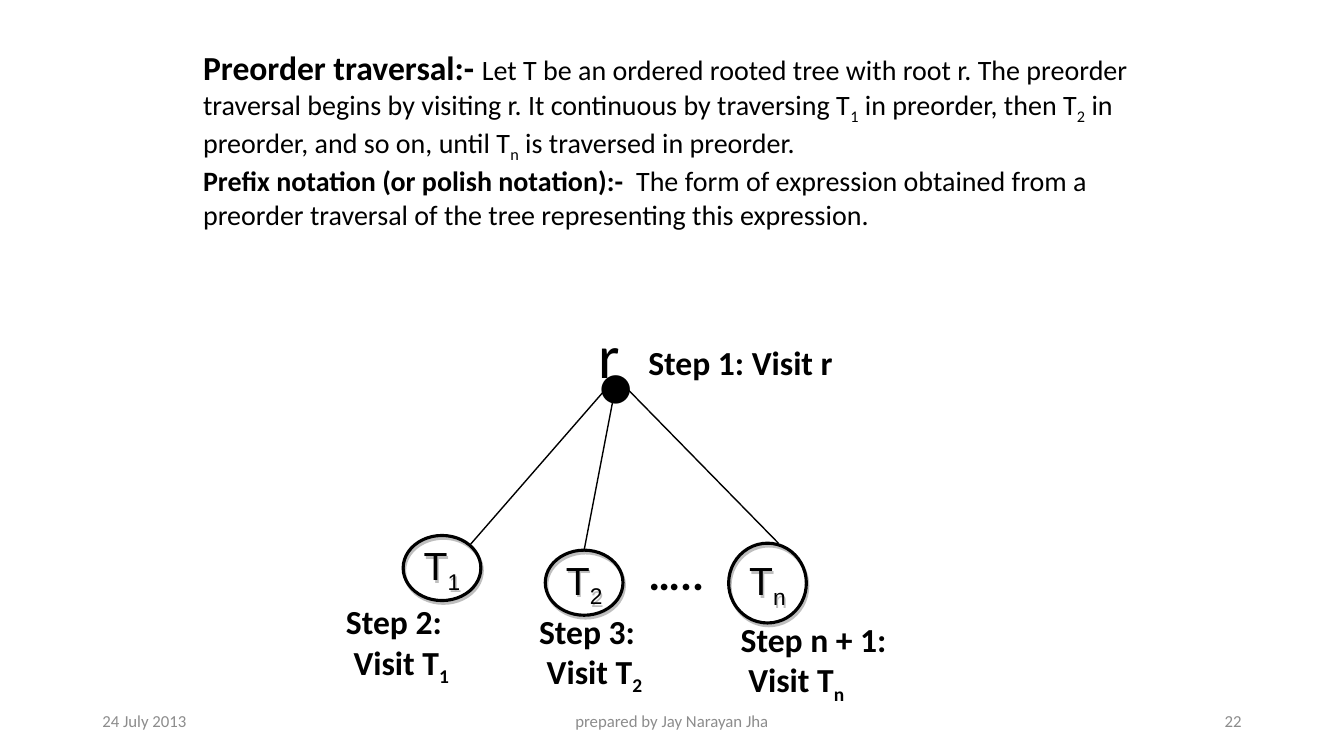
import pptx
import pptx.util
import pptx.dml.color
import pptx.enum.shapes
import pptx.enum.text
import pptx.oxml
import pptx.oxml.ns

Pt = pptx.util.Pt
ALIGN = pptx.enum.text.PP_ALIGN
ANCHOR = pptx.enum.text.MSO_ANCHOR
BLACK, GREY = "000000", "8C8C8C"

# A paragraph is a list of (text, format) spans; "_" lowers the next character.
BODY = {"size": 20, "bold": False}
STRONG = {"size": 20, "bold": True}
HEAD = {"size": 24, "bold": True}
BIG = {"size": 44, "bold": False}
DOTS = {"size": 32, "bold": True}
NODE = {"size": 28, "name": "Arial"}
FOOT = {"size": 12, "color": GREY}

DEFINITIONS = [
    [("Preorder traversal:- ", HEAD),
     ("Let T be an ordered rooted tree with root r. The preorder traversal begins "
      "by visiting r. It continuous by traversing T_1 in preorder, then T_2 in "
      "preorder, and so on, until T_n is traversed in preorder.", BODY)],
    [("Prefix notation (or polish notation):-  ", STRONG),
     ("The form of expression obtained from a preorder traversal of the tree "
      "representing this expression.", BODY)],
]
ROOT_DOT = ("●", BIG, (420, 243.5, 42, 60.5))
SUBTREES = [  # label, ellipse frame
    ("T_n", (520.5, 388, 55.5, 57)),
    ("T_1", (288, 382.5, 55.5, 46.5)),
    ("T_2", (389.5, 393, 55.5, 46.5)),
]
BRANCHES = [  # start, end, subtree joined at its top
    ((440, 269.5), (335.5, 389.5), None),
    ((556, 388), (440, 269.5), None),
    ((440, 274.5), (417, 393), "T_2"),
]
STEP_1 = ("Step 1: Visit r", HEAD, (456, 240.5, 147.5, 36))
ELLIPSIS = ("…..", DOTS, (456, 386.5, 54.5, 46))
STEPS = [
    ("Step 2:", " Visit T_1", (240, 426, 90, 65.5)),
    ("Step 3:", " Visit T_2", (378, 432.5, 90, 65.5)),
    ("Step n + 1:", " Visit T_n", (522, 438.5, 119.5, 65.5)),
]
FOOTERS = [
    ("24 July 2013", 66, 216, ALIGN.LEFT),
    ("prepared by Jay Narayan Jha", 318, 324, ALIGN.CENTER),
    ("22", 678, 216, ALIGN.RIGHT),
]
SHADOW = (
    '<a:effectLst %s><a:outerShdw blurRad="0" dist="27940" dir="3780000" '
    'algn="ctr" rotWithShape="0"><a:srgbClr val="7F7F7F"><a:alpha val="50000"/>'
    '</a:srgbClr></a:outerShdw></a:effectLst>' % pptx.oxml.ns.nsdecls("a")
)
NO_EFFECT = "<a:effectLst %s/>" % pptx.oxml.ns.nsdecls("a")


def rgb(value):
    return pptx.dml.color.RGBColor.from_string(value)


def pts(values):
    return [Pt(value) for value in values]


def set_effect(shape, xml):
    shape._element.spPr.append(pptx.oxml.parse_xml(xml))


def add_span(para, text, style, lowered=False):
    if not text:
        return
    span = para.add_run()
    span.text = text
    values = {"name": "Calibri", "color": BLACK, **style}
    span.font.color.rgb = rgb(values.pop("color"))
    values["size"] = Pt(values["size"])
    for name, value in values.items():
        setattr(span.font, name, value)
    if lowered:
        span._r.get_or_add_rPr().set("baseline", "-25000")


def write(frame, paragraphs, align=ALIGN.LEFT):
    for index, spans in enumerate(paragraphs):
        para = frame.add_paragraph() if index else frame.paragraphs[0]
        para.alignment = align
        for text, style in spans:
            first, *rest = text.split("_")
            add_span(para, first, style)
            for part in rest:
                add_span(para, part[0], style, lowered=True)
                add_span(para, part[1:], style)


def add_text(page, bounds, paragraphs, wrap=False, align=ALIGN.LEFT, anchor=ANCHOR.TOP):
    box = page.shapes.add_textbox(*pts(bounds))
    box.text_frame.word_wrap = wrap
    box.text_frame.vertical_anchor = anchor
    write(box.text_frame, paragraphs, align)


def add_subtree(page, label, bounds):
    oval = page.shapes.add_shape(pptx.enum.shapes.MSO_SHAPE.OVAL, *pts(bounds))
    oval.fill.background()
    oval.line.color.rgb = rgb(BLACK)
    oval.line.width = Pt(2.25)
    set_effect(oval, SHADOW)
    frame = oval.text_frame
    for side in ("left", "top", "right", "bottom"):
        setattr(frame, "margin_" + side, Pt(0.72))
    frame.vertical_anchor = ANCHOR.MIDDLE
    write(frame, [[(label, NODE)]], ALIGN.CENTER)
    return oval


def add_branch(page, start, end, subtree):
    branch = page.shapes.add_connector(
        pptx.enum.shapes.MSO_CONNECTOR.STRAIGHT, *pts(start + end))
    branch.line.color.rgb = rgb(BLACK)
    branch.line.width = Pt(1)
    set_effect(branch, NO_EFFECT)
    if subtree is not None:
        branch.end_connect(subtree, 0)


def main():
    deck = pptx.Presentation()
    deck.slide_width, deck.slide_height = Pt(960), Pt(540)
    page = deck.slides.add_slide(deck.slide_layouts[6])

    add_text(page, (138, 30, 684, 155), DEFINITIONS, wrap=True)
    text, style, bounds = ROOT_DOT
    add_text(page, bounds, [[(text, style)]])
    ovals = {label: add_subtree(page, label, bounds) for label, bounds in SUBTREES}
    for start, end, label in BRANCHES:
        add_branch(page, start, end, ovals.get(label))
    add_text(page, (420.5, 222.5, 19.5, 60.5), [[("r", BIG)]], wrap=True)
    for text, style, bounds in (STEP_1, ELLIPSIS):
        add_text(page, bounds, [[(text, style)]])
    for title, action, bounds in STEPS:
        add_text(page, bounds, [[(title, HEAD)], [(action, HEAD)]])
    for text, left, width, align in FOOTERS:
        add_text(page, (left, 500.5, width, 28.5), [[(text, FOOT)]],
                 wrap=True, align=align, anchor=ANCHOR.MIDDLE)
    deck.save("out.pptx")


if __name__ == "__main__":
    main()
